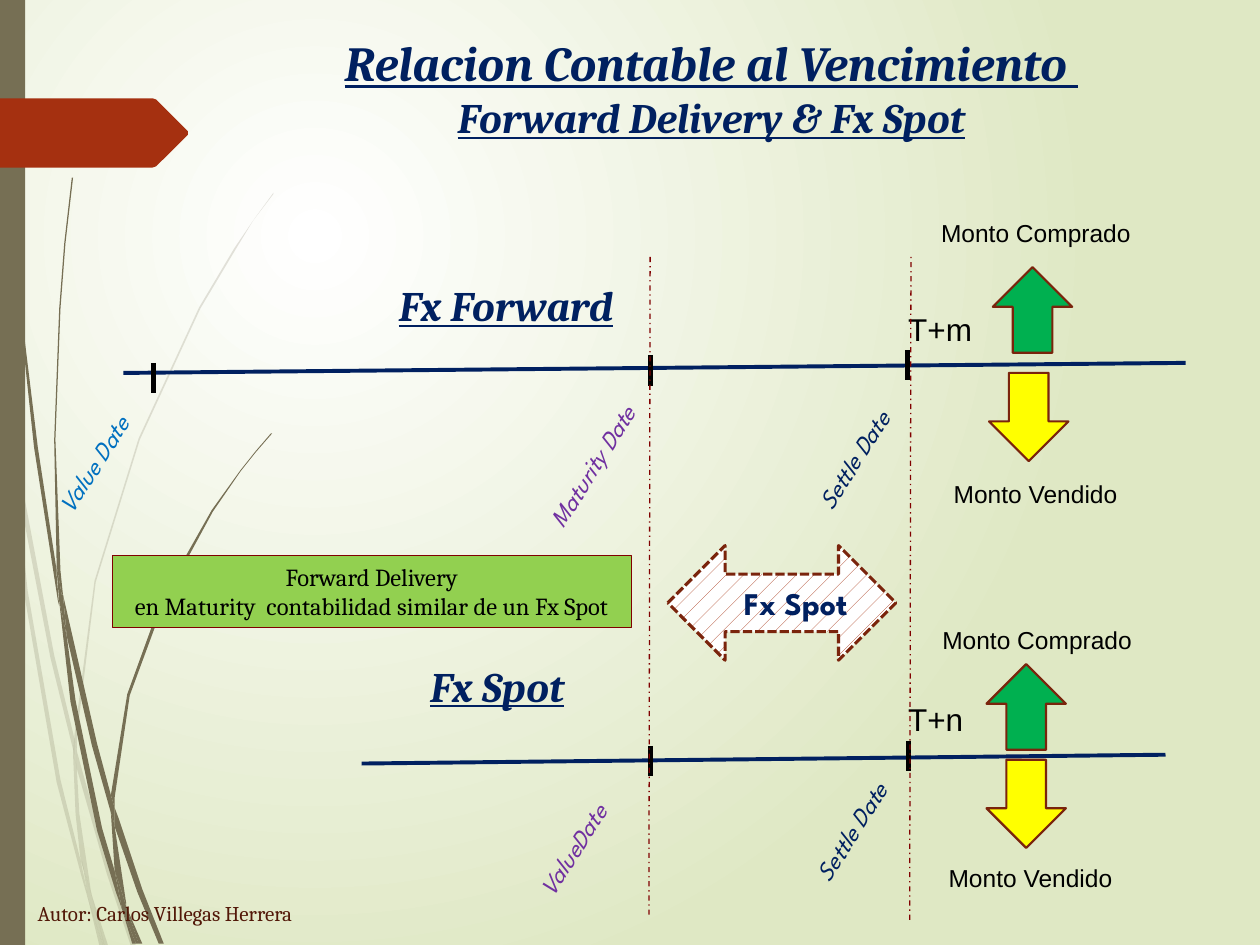
from dataclasses import dataclass
from typing import Optional

import lxml.etree
import pptx
import pptx.dml.color
import pptx.enum.dml
import pptx.enum.shapes
import pptx.enum.text
import pptx.oxml.ns
import pptx.util

Inches = pptx.util.Inches
Pt = pptx.util.Pt
RGBColor = pptx.dml.color.RGBColor
Shape = pptx.enum.shapes.MSO_SHAPE
Dash = pptx.enum.dml.MSO_LINE
Align = pptx.enum.text.PP_ALIGN
Anchor = pptx.enum.text.MSO_ANCHOR
AutoSize = pptx.enum.text.MSO_AUTO_SIZE
qn = pptx.oxml.ns.qn

NAVY = RGBColor(0x00, 0x20, 0x60)
BLUE = RGBColor(0x00, 0x70, 0xC0)
PURPLE = RGBColor(0x70, 0x30, 0xA0)
BLACK = RGBColor(0x00, 0x00, 0x00)
WHITE = RGBColor(0xFF, 0xFF, 0xFF)
PALE_GREEN = RGBColor(0xDF, 0xE8, 0xC4)
LIME = RGBColor(0x92, 0xD0, 0x50)
GREEN = RGBColor(0x00, 0xB0, 0x50)
YELLOW = RGBColor(0xFF, 0xFF, 0x00)
OLIVE = RGBColor(0x76, 0x6F, 0x54)
RUST = RGBColor(0xA5, 0x30, 0x10)
BROWN = RGBColor(0x7A, 0x24, 0x0C)
DARK_BROWN = RGBColor(0x52, 0x18, 0x08)
MAROON = RGBColor(0x80, 0x00, 0x00)

SERIF, SANS, DISPLAY = "Cambria", "Arial", "League Spartan"
DATE_ANGLE = 302.4
TICK_HEIGHT = 0.24

# Outlines of the grass blades, as "x,y" points in inches.
FAINT_BLADES = (
    "0.08,3.5 0.06,3.22 0,2.82 0,2.99 0.07,3.44",
    "0.4,5.22 0.59,5.99 0.59,5.86 0.43,5.2 0.1,3.45 0.12,3.76",
    "0.64,6.07 0.61,5.96 0.61,6.1 0.85,6.94 1.04,7.51 1.08,7.51 0.88,6.92",
    "0.83,7.51 0.86,7.51 0.73,7.11",
    "0.64,6.83 0.48,6.19 0.22,4.69 0.12,3.76 0.08,3.5 0.19,4.7 0.45,6.21 0.64,6.93 0.7,7.14 0.69,7.07",
    "0.58,5.99 0.6,6.46 0.64,6.83 0.67,6.92 0.73,7.11 0.72,7.06 0.63,6.46 0.61,6.1 0.61,6.08",
    "0.61,5.84 0.76,4.62 1.11,3.49 1.59,2.45 1.87,1.98 2.01,1.75 2.17,1.54 2.17,1.53 2.01,1.75 "
    "1.86,1.97 1.58,2.44 1.1,3.48 0.75,4.61 0.59,5.84 0.59,5.86 0.61,5.96",
    "0.7,7.14 0.79,7.51 0.82,7.51",
    "0.61,6.08 0.61,6.1 0.61,5.96 0.59,5.86 0.58,5.99",
    "0.67,6.92 0.65,6.83 0.69,7.07 0.7,7.14 0.82,7.51 0.83,7.51 0.73,7.11",
)
SOLID_BLADES = (
    "0.05,1.1 0.14,2.33 0.27,3.55 0.46,4.77 0.47,4.81 0.45,4.57 0.45,4.53 0.3,3.55 0.15,2.32 "
    "0.06,1.09 0.04,0.48 0.03,0 0.02,0 0.03,0.48",
    "0.73,5.92 0.88,6.45 0.88,6.33 0.88,6.31 0.77,5.9 0.5,4.72 0.53,5.05",
    "0.94,6.49 0.91,6.41 0.91,6.56 1.09,7.08 1.26,7.49 1.3,7.49 1.13,7.06",
    "0.91,6.91 0.81,6.57 0.6,5.56 0.53,5.05 0.47,4.77 0.56,5.57 0.77,6.59 0.92,7.08 0.97,7.22 0.96,7.17",
    "0.5,4.72 0.48,4.53 0.44,3.49 0.48,2.45 0.52,1.93 0.58,1.41 0.57,1.41 0.51,1.93 0.47,2.45 "
    "0.43,3.49 0.45,4.49 0.49,4.72",
    "1.1,7.49 1.13,7.49 1,7.19",
    "0.47,4.77 0.53,5.05 0.5,4.72 0.49,4.72 0.45,4.49 0.45,4.53",
    "0.91,6.33 1.03,5.52 1.31,4.76 1.69,4.06 1.91,3.74 2.03,3.59 2.16,3.44 2.15,3.44 2.03,3.58 "
    "1.91,3.73 1.68,4.05 1.29,4.74 1.01,5.51 0.88,6.31 0.91,6.41",
    "0.97,7.22 1.05,7.49 1.08,7.49",
    "0.88,6.45 0.91,6.91 0.96,7.06 1,7.19 1,7.16 0.91,6.56 0.9,6.51",
    "0.88,6.45 0.9,6.51 0.91,6.56 0.91,6.41 0.88,6.31 0.88,6.33",
    "0.96,7.06 0.91,6.91 0.96,7.17 0.97,7.22 1.08,7.49 1.1,7.49 1,7.19",
)
BANNER = "1.49,1.07 1.24,1.32 1.21,1.33 0,1.33 0,0.78 1.21,0.78 1.24,0.79 1.49,1.04"


@dataclass(frozen=True)
class Label:
    text: str
    box: tuple[float, float, float, float]
    size: int
    font: str
    color: RGBColor
    rotation: float = 0
    heading: bool = False


@dataclass(frozen=True)
class Timeline:
    axis: tuple[float, float, float, float]
    ticks: tuple[tuple[float, float], ...]
    bought_arrow: tuple[float, float]
    sold_arrow: tuple[float, float]
    labels: tuple[Label, ...]


def date_label(text: str, left: float, top: float, width: float, color: RGBColor) -> Label:
    return Label(text, (left, top, width, 0.34), 14, DISPLAY, color, DATE_ANGLE)


def amount_label(text: str, left: float, top: float, width: float) -> Label:
    return Label(text, (left, top, width, 0.34), 14, SANS, BLACK)


def heading_label(text: str, left: float, top: float) -> Label:
    return Label(text, (left, top, 2.29, 0.53), 24, SERIF, NAVY, heading=True)


TIMELINES = (
    Timeline((0.98, 2.96, 9.41, 2.88), ((1.22, 2.88), (5.16, 2.82), (7.2, 2.78)), (7.88, 2.12), (7.85, 2.96), (
        date_label("Value Date", 0.16, 3.42, 1.29, BLUE),
        date_label("Maturity Date", 4.01, 3.44, 1.5, PURPLE),
        date_label("Settle Date", 6.2, 3.4, 1.26, NAVY),
        Label("T+m", (7.11, 2.41, 0.71, 0.4), 18, SANS, BLACK),
        amount_label("Monto Comprado", 7.37, 1.68, 1.71),
        amount_label("Monto Vendido", 7.47, 3.75, 1.51),
        heading_label("Fx Forward", 2.87, 2.17))),
    Timeline((2.87, 6.06, 9.25, 5.99), ((5.16, 5.92), (7.21, 5.88)), (7.83, 5.27), (7.83, 6.03), (
        date_label("ValueDate", 3.99, 6.48, 1.24, PURPLE),
        date_label("Settle Date", 6.18, 6.35, 1.26, NAVY),
        Label("T+n", (7.11, 5.51, 0.64, 0.4), 18, SANS, BLACK),
        amount_label("Monto Comprado", 7.38, 4.91, 1.71),
        amount_label("Monto Vendido", 7.43, 6.8, 1.51),
        heading_label("Fx Spot", 2.8, 5.19))),
)
AUTHOR = Label("Autor: Carlos Villegas Herrera", (0.2, 7.1, 2.35, 0.3), 12, SERIF, DARK_BROWN)


def paint_background(slide) -> None:
    fill = slide.background.fill
    fill.gradient()
    for stop, color in zip(fill.gradient_stops, (WHITE, PALE_GREEN)):
        stop.color.rgb = color
    gradient = slide.element.find(".//" + qn("a:gradFill"))
    gradient.remove(gradient.find(qn("a:lin")))
    circle = lxml.etree.SubElement(gradient, qn("a:path"), {"path": "circle"})
    lxml.etree.SubElement(circle, qn("a:fillToRect"), l="50000", t="50000", r="100000", b="100000")


def draw_outline(slide, outline: str, color: RGBColor, opacity: int = 100) -> None:
    """Fill a closed outline; opacity is a percentage."""
    points = [tuple(Inches(float(number)) for number in point.split(",")) for point in outline.split()]
    builder = slide.shapes.build_freeform(*points[0])
    builder.add_line_segments(points[1:], close=True)
    shape = builder.convert_to_shape()
    shape.shadow.inherit = False
    shape.fill.solid()
    shape.fill.fore_color.rgb = color
    shape.line.fill.background()
    if opacity < 100:
        color_element = shape.element.spPr.find(qn("a:solidFill"))[0]
        lxml.etree.SubElement(color_element, qn("a:alpha"), val=str(opacity * 1000))


def draw_line(slide, ends: tuple[float, ...], color: RGBColor, width: float, dash: Optional[Dash] = None) -> None:
    connector = slide.shapes.add_connector(pptx.enum.shapes.MSO_CONNECTOR.STRAIGHT, *map(Inches, ends))
    connector.line.color.rgb = color
    connector.line.width = Pt(width)
    if dash is not None:
        connector.line.dash_style = dash
    lxml.etree.SubElement(connector.element.spPr, qn("a:effectLst"))


def draw_shape(slide, kind: Shape, box: tuple[float, ...], fill: Optional[RGBColor],
               line: Optional[RGBColor] = None, width: float = 1.25):
    shape = slide.shapes.add_shape(kind, *map(Inches, box))
    shape.shadow.inherit = False
    if fill is not None:
        shape.fill.solid()
        shape.fill.fore_color.rgb = fill
    if line is None:
        shape.line.fill.background()
    else:
        shape.line.color.rgb = line
        shape.line.width = Pt(width)
    return shape


def style_font(font, size: int, name: str, color: RGBColor) -> None:
    font.size, font.name, font.color.rgb = Pt(size), name, color


def draw_label(slide, label: Label) -> None:
    box = slide.shapes.add_textbox(*map(Inches, label.box))
    box.rotation = label.rotation
    frame = box.text_frame
    frame.word_wrap = label.heading
    paragraph = frame.paragraphs[0]
    paragraph.text = label.text
    style_font(paragraph.font, label.size, label.font, label.color)
    if label.heading:
        paragraph.alignment = Align.CENTER
        paragraph.font.bold = paragraph.font.italic = paragraph.font.underline = True
    else:
        frame.auto_size = AutoSize.SHAPE_TO_FIT_TEXT
        paragraph.font.italic = label.font == DISPLAY


def draw_title(slide) -> None:
    box = slide.shapes.add_textbox(Inches(1.88), Inches(0.21), Inches(7.53), Inches(0.53))
    box.text_frame.word_wrap = True
    paragraph = box.text_frame.paragraphs[0]
    paragraph.alignment = Align.CENTER
    for text, size in (("Relacion Contable al Vencimiento ", 28), ("Forward Delivery & Fx Spot", 24)):
        if paragraph.runs:
            paragraph.add_line_break()
        run = paragraph.add_run()
        run.text = text
        style_font(run.font, size, SERIF, NAVY)
        run.font.bold = run.font.italic = run.font.underline = True


def draw_timeline(slide, timeline: Timeline) -> None:
    draw_line(slide, timeline.axis, NAVY, 2.25)
    for x, top in timeline.ticks:
        draw_line(slide, (x, top, x, top + TICK_HEIGHT), BLACK, 3)
    draw_shape(slide, Shape.DOWN_ARROW, (*timeline.sold_arrow, 0.63, 0.7), YELLOW, BROWN)
    draw_shape(slide, Shape.UP_ARROW, (*timeline.bought_arrow, 0.63, 0.68), GREEN, BROWN)
    for label in timeline.labels:
        draw_label(slide, label)


def draw_spot_arrow(slide) -> None:
    arrow = draw_shape(slide, Shape.LEFT_RIGHT_ARROW, (5.3, 4.33, 1.81, 0.91), None, BROWN, 1.75)
    arrow.line.dash_style = Dash.SQUARE_DOT
    arrow.fill.patterned()
    arrow.fill.pattern = pptx.enum.dml.MSO_PATTERN.PERCENT_5
    arrow.fill.fore_color.rgb = RUST
    arrow.fill.back_color.rgb = WHITE
    frame = arrow.text_frame
    frame.margin_left = Inches(0.32)
    frame.vertical_anchor = Anchor.MIDDLE
    paragraph = frame.paragraphs[0]
    paragraph.text = "Fx Spot"
    paragraph.alignment = Align.CENTER
    style_font(paragraph.font, 18, DISPLAY, NAVY)
    paragraph.font.bold = True


def draw_delivery_note(slide) -> None:
    note = draw_shape(slide, Shape.RECTANGLE, (0.89, 4.41, 4.12, 0.57), LIME, MAROON, 0.75)
    frame = note.text_frame
    frame.text = "Forward Delivery\nen Maturity  contabilidad similar de un Fx Spot"
    frame.word_wrap = False
    frame.auto_size = AutoSize.SHAPE_TO_FIT_TEXT
    frame.vertical_anchor = Anchor.TOP
    for paragraph in frame.paragraphs:
        paragraph.alignment = Align.CENTER
        style_font(paragraph.font, 14, SERIF, BLACK)


def main() -> None:
    presentation = pptx.Presentation()
    presentation.slide_width, presentation.slide_height = Inches(10), Inches(7.5)
    slide = presentation.slides.add_slide(presentation.slide_layouts[6])
    paint_background(slide)
    for blade in FAINT_BLADES:
        draw_outline(slide, blade, OLIVE, 20)
    for blade in SOLID_BLADES:
        draw_outline(slide, blade, OLIVE)
    draw_shape(slide, Shape.RECTANGLE, (0, 0, 0.2, 7.5), OLIVE)
    draw_outline(slide, BANNER, RUST)
    draw_title(slide)
    draw_label(slide, AUTHOR)
    for timeline in TIMELINES:
        draw_timeline(slide, timeline)
    for ends in ((5.15, 7.26, 5.16, 2.02), (7.22, 7.3, 7.23, 2.02)):
        draw_line(slide, ends, MAROON, 0.75, Dash.DASH_DOT)
    draw_spot_arrow(slide)
    draw_delivery_note(slide)
    presentation.save("out.pptx")


if __name__ == "__main__":
    main()
